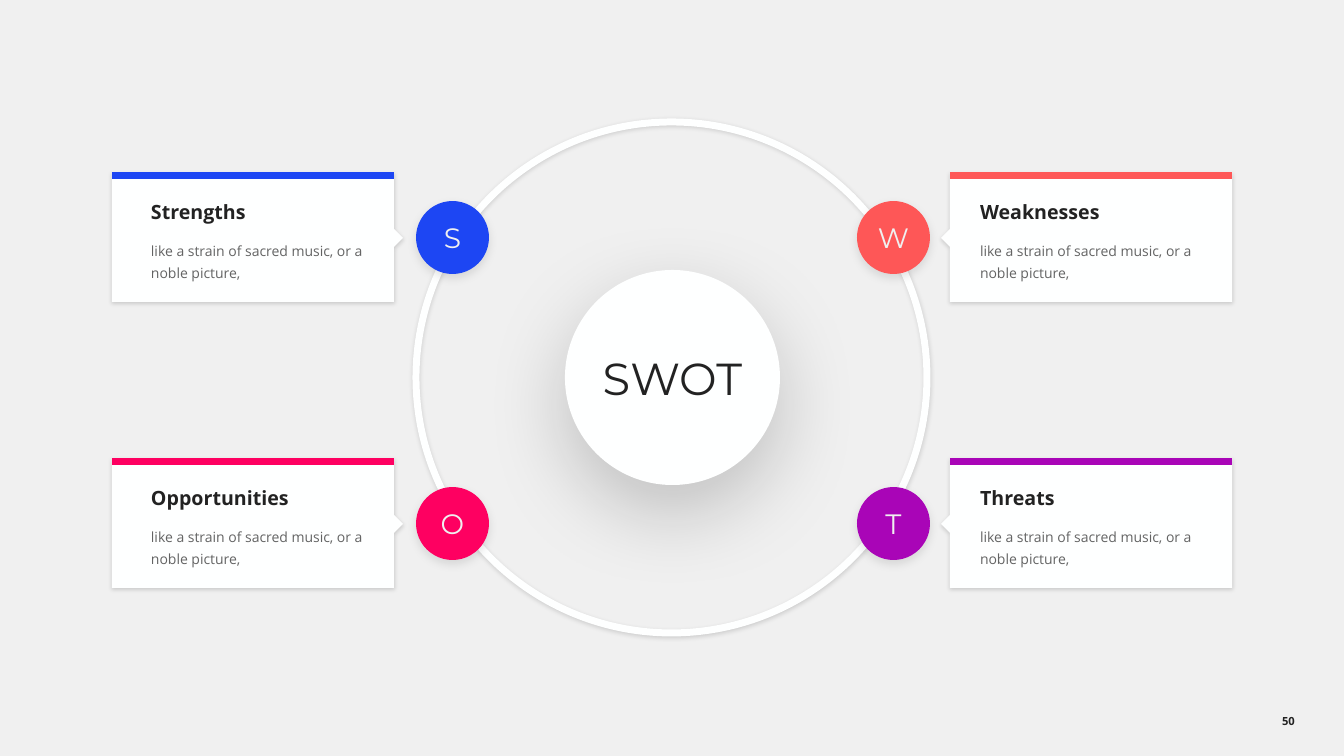
from lxml import etree
from pptx import Presentation
from pptx import util as u
from pptx.dml.color import RGBColor
from pptx.enum import shapes, text
from pptx.oxml.ns import qn

WIDTH, HEIGHT = 1344, 756
SCALE = 914400 / 100.8
BACK, WHITE, DARK = "F0F0F0", "FEFFFF", "222222"
HEAD, BODY = "Montserrat", "Open Sans"
BLURB = "like a strain of sacred music, or a noble picture,"

# title, colour, column, row
CARDS = [
    ("Strengths", "1D46F3", 0, 0),
    ("Opportunities", "FE0061", 0, 1),
    ("Weaknesses", "FE5757", 1, 0),
    ("Threats", "A905B7", 1, 1),
]
TOP, STEP = 172, 286                 # first card row, distance to the next
OUTER, INNER, TIP = 112, 394, 403    # left card edges, mirrored on the right
CARD_H, MID, NOTCH = 130, 66, 9
BADGE_X, BADGE, BADGE_DY = (416, 857), 73, 29

# opacity %, blur pt, distance pt
FLAT, LIFT, DEEP = (15, 3, 1), (11, 7, 3), (20, 60, 20)


def px(n):
    return u.Emu(round(n * SCALE))


def rgb(code):
    return RGBColor.from_string(code)


def shade(shape, glow):
    alpha, blur, dist = glow
    shape.shadow.inherit = False
    effects = shape._element.spPr.find(qn("a:effectLst"))
    outer = etree.SubElement(effects, qn("a:outerShdw"), blurRad=str(u.Pt(blur)),
                             dist=str(u.Pt(dist)), dir="5400000", algn="t", rotWithShape="0")
    color = etree.SubElement(outer, qn("a:srgbClr"), val="000000")
    etree.SubElement(color, qn("a:alpha"), val=str(alpha * 1000))


def paint(shape, fill, glow):
    shape.fill.solid()
    shape.fill.fore_color.rgb = rgb(fill)
    shape.line.fill.background()
    shade(shape, glow)


def setup(shape, anchor, left=0, top=0, right=0, bottom=0):
    frame = shape.text_frame
    frame.word_wrap = True
    frame.vertical_anchor = anchor
    frame.margin_left, frame.margin_top = px(left), px(top)
    frame.margin_right, frame.margin_bottom = px(right), px(bottom)
    return frame


def write(para, words, size, face, color, align, bold=False):
    para.alignment = align
    run = para.add_run()
    run.text = words
    run.font.size, run.font.name, run.font.bold = u.Pt(size), face, bold
    run.font.color.rgb = rgb(color)
    return run


def disc(x, y, size):
    return slide.shapes.add_shape(shapes.MSO_SHAPE.OVAL, px(x), px(y), px(size), px(size))


def label(shape, words, size, face, color, bold=False):
    frame = setup(shape, text.MSO_ANCHOR.MIDDLE)
    write(frame.paragraphs[0], words, size, face, color, text.PP_ALIGN.CENTER, bold)


def card(title, color, col, row):
    top = TOP + row * STEP
    outer, inner, tip = [WIDTH - x if col else x for x in (OUTER, INNER, TIP)]
    low, mid = top + CARD_H, top + MID

    # Panel with a pointer towards the badge
    pen = slide.shapes.build_freeform(inner, top, scale=SCALE)
    pen.add_line_segments([(outer, top), (outer, low), (inner, low),
                           (inner, mid + NOTCH), (tip, mid), (inner, mid - NOTCH)])
    panel = pen.convert_to_shape()
    paint(panel, WHITE, FLAT)
    frame = setup(panel, text.MSO_ANCHOR.TOP, 39, 28, 39, 5)
    write(frame.paragraphs[0], title, 14, BODY, DARK, text.PP_ALIGN.LEFT, True)
    para = frame.add_paragraph()
    para.space_before, para.line_spacing = u.Pt(10), 1.3
    run = write(para, BLURB, 10, BODY, DARK, text.PP_ALIGN.LEFT)
    tint = run._r.rPr.find(".//" + qn("a:srgbClr"))
    etree.SubElement(tint, qn("a:alpha"), val="70000")

    # Coloured top edge
    edge = slide.shapes.add_connector(shapes.MSO_CONNECTOR.STRAIGHT, px(min(outer, inner)),
                                      px(top + 3.5), px(max(outer, inner)), px(top + 3.5))
    edge.line.color.rgb, edge.line.width = rgb(color), u.Pt(5)
    etree.SubElement(edge._element.spPr, qn("a:effectLst"))


deck = Presentation()
deck.slide_width, deck.slide_height = px(WIDTH), px(HEIGHT)
slide = deck.slides.add_slide(deck.slide_layouts[6])
slide.background.fill.solid()
slide.background.fill.fore_color.rgb = rgb(BACK)

# Page number
number = slide.shapes.add_textbox(px(1233), px(701), px(111), px(40))
label(number, "50", 8, BODY, DARK, True)

# Ring and hub
ring = disc(416, 122, 511)
ring.fill.background()
ring.line.color.rgb, ring.line.width = rgb(WHITE), u.Pt(5)
shade(ring, FLAT)
hub = disc(565, 270, 215)
paint(hub, WHITE, DEEP)
label(hub, "SWOT", 32, HEAD, DARK)

# Badges on the ring
for title, color, col, row in CARDS:
    badge = disc(BADGE_X[col], TOP + row * STEP + BADGE_DY, BADGE)
    paint(badge, color, LIFT)
    label(badge, title[0], 20, HEAD, BACK)

# Cards
for item in CARDS:
    card(*item)

deck.save("out.pptx")
